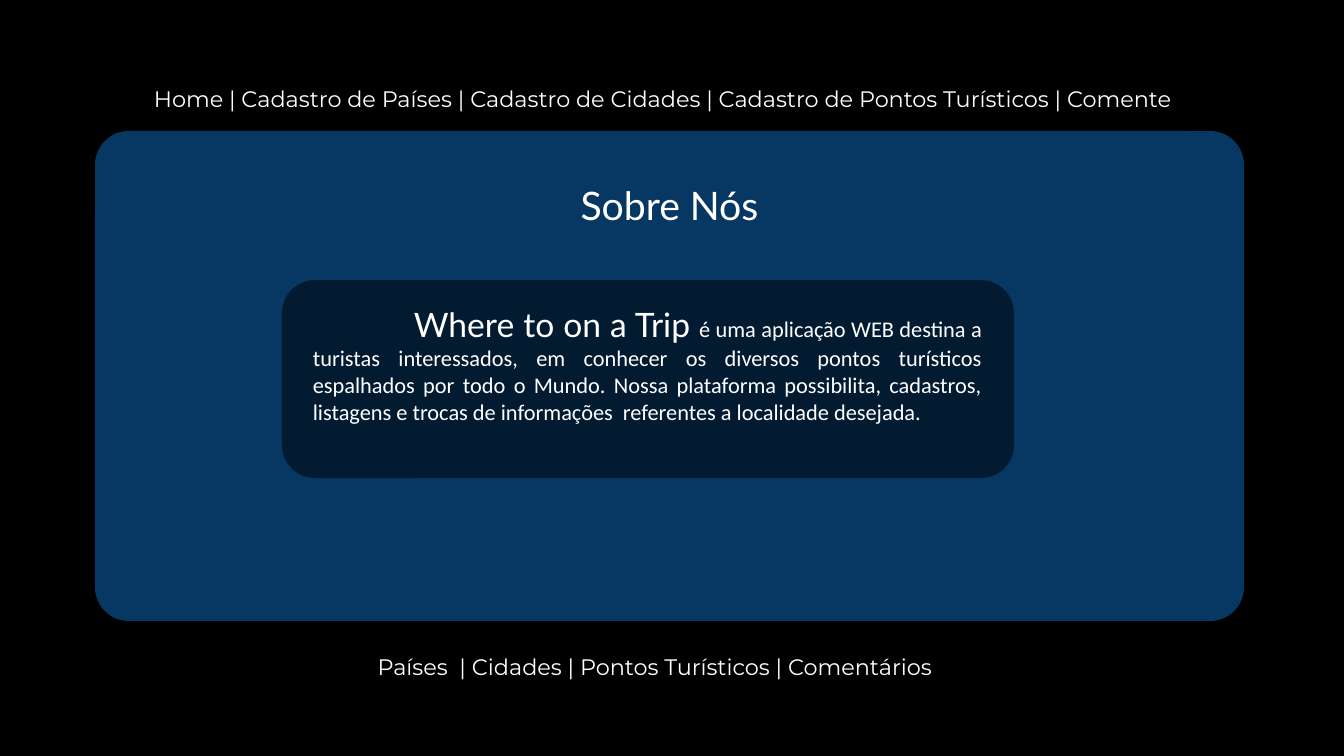
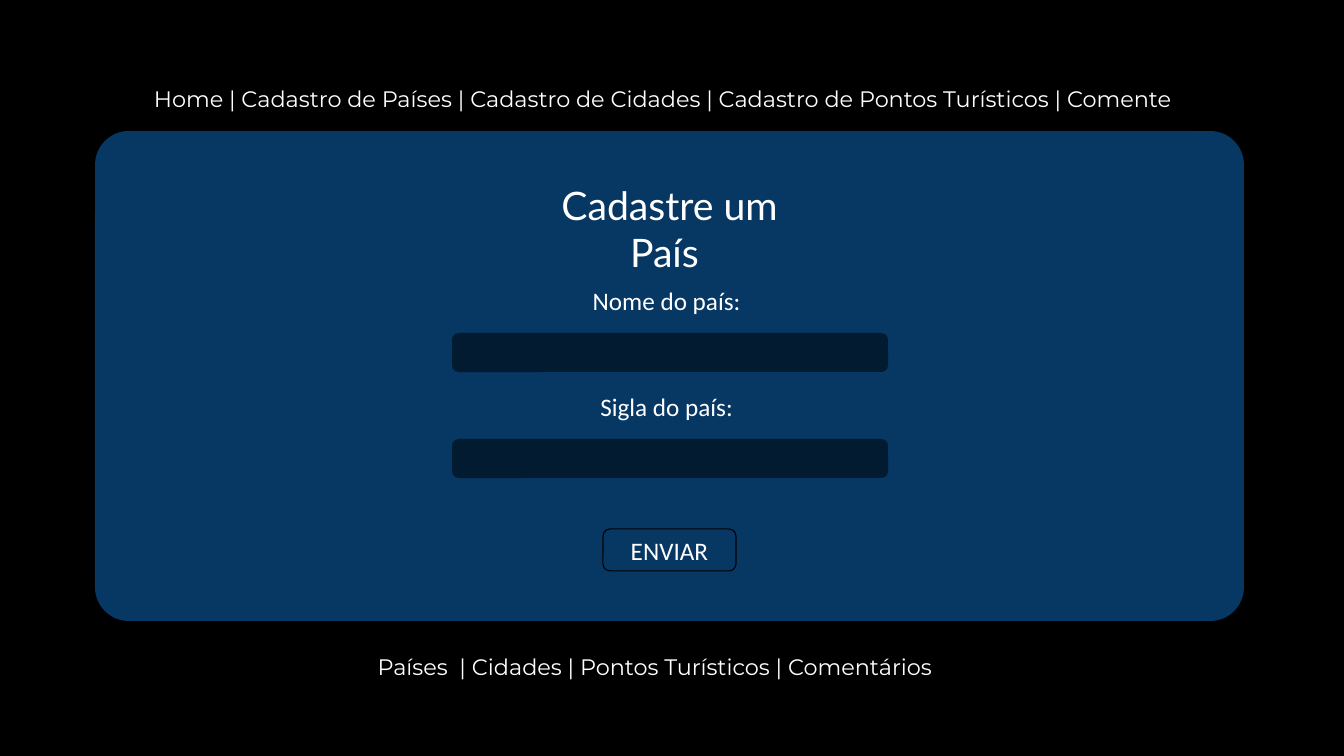
"""Build two screens of a travel web application: the about page and the country form."""
from lxml import etree
from pptx import Presentation, util as u
from pptx.dml.color import RGBColor
from pptx.enum import shapes, text
from pptx.oxml.ns import qn

PX = 914400 / 100.8
BLACK, WHITE, BLUE = "000000", "FFFFFF", "0F6FC6"
CENTER, JUSTIFY = text.PP_ALIGN.CENTER, text.PP_ALIGN.JUSTIFY

NAV_STYLE = {"name": "Montserrat", "size": 16}
HEADING_STYLE = {"name": "Lato", "size": 28}
BRAND_STYLE = {"name": "Lato", "size": 24}
BODY_STYLE = {"name": "Calibri", "size": 16}
LABEL_STYLE = {"name": "Calibri", "size": 18}

MENUS = [
    ((48, 80, 1230, 37),
     "Home | Cadastro de Países | Cadastro de Cidades | Cadastro de Pontos Turísticos | Comente"),
    ((310, 648, 690, 37), "Países  | Cidades | Pontos Turísticos | Comentários"),
]
PANEL = (95, 131, 1149, 490)
HEADING = (532, 176, 275, 57)

ABOUT_HEADING = "Sobre Nós"
ABOUT_CARD = (282, 280, 732, 198)
ABOUT_TEXT = (303, 299, 689, 159)
ABOUT_INDENT = 101
ABOUT_RUNS = [
    ("Where to on a Trip ", BRAND_STYLE),
    ("é uma aplicação WEB destina a turistas interessados, em conhecer os diversos pontos "
     "turísticos espalhados por todo o Mundo. Nossa plataforma possibilita, cadastros, "
     "listagens e trocas de informações  referentes a localidade desejada.", BODY_STYLE),
]

FORM_HEADING = "Cadastre um País "
FORM_LABELS = ["Nome do país: ", "Sigla do país: "]
FORM_TOP, FORM_STEP, FIELD_OFFSET = 280, 106, 53
BUTTON = (603, 529, 133, 42)
BUTTON_TEXT = "ENVIAR"


def px(value):
    return u.Emu(round(value * PX))


def rgb(color):
    return RGBColor.from_string(color)


def write(frame, runs, align=CENTER, indent=0):
    frame.word_wrap = True
    paragraph = frame.paragraphs[0]
    paragraph.alignment = align
    if indent:
        paragraph._p.get_or_add_pPr().set("indent", str(px(indent)))
    for content, style in runs:
        run = paragraph.add_run()
        run.text = content
        run.font.color.rgb = rgb(WHITE)
        for name, value in style.items():
            setattr(run.font, name, u.Pt(value) if name == "size" else value)


def add_text(slide, box, runs, **layout):
    write(slide.shapes.add_textbox(*map(px, box)).text_frame, runs, **layout)


def add_rounded(slide, box, fill=None, line=None, corner=0.167):
    shape = slide.shapes.add_shape(shapes.MSO_SHAPE.ROUNDED_RECTANGLE, *map(px, box))
    shape.shadow.inherit = False
    shape.adjustments[0] = corner
    if fill:
        shape.fill.solid()
        shape.fill.fore_color.rgb = rgb(fill)
        color = shape._element.spPr.find(".//" + qn("a:srgbClr"))
        etree.SubElement(color, qn("a:alpha"), val="50000")
    else:
        shape.fill.background()
    if line:
        shape.line.color.rgb = rgb(line)
        shape.line.width = u.Pt(0.75)
    else:
        shape.line.fill.background()
    return shape


def add_screen(presentation, heading):
    slide = presentation.slides.add_slide(presentation.slide_layouts[6])
    slide.background.fill.solid()
    slide.background.fill.fore_color.rgb = rgb(BLACK)
    for box, menu in MENUS:
        add_text(slide, box, [(menu, NAV_STYLE)])
    add_rounded(slide, PANEL, BLUE, corner=0.069)
    add_text(slide, HEADING, [(heading, HEADING_STYLE)])
    return slide


def add_about(presentation):
    slide = add_screen(presentation, ABOUT_HEADING)
    add_rounded(slide, ABOUT_CARD, BLACK)
    add_text(slide, ABOUT_TEXT, ABOUT_RUNS, align=JUSTIFY, indent=ABOUT_INDENT)


def add_form(presentation):
    slide = add_screen(presentation, FORM_HEADING)
    for index, label in enumerate(FORM_LABELS):
        top = FORM_TOP + index * FORM_STEP
        add_text(slide, (572, top, 195, 40), [(label, LABEL_STYLE)])
        add_rounded(slide, (452, top + FIELD_OFFSET, 436, 39), BLACK)
    button = add_rounded(slide, BUTTON, line=BLACK)
    write(button.text_frame, [(BUTTON_TEXT, LABEL_STYLE)])


def main():
    presentation = Presentation()
    presentation.slide_width, presentation.slide_height = px(1344), px(756)
    add_about(presentation)
    add_form(presentation)
    presentation.save("out.pptx")


if __name__ == "__main__":
    main()
